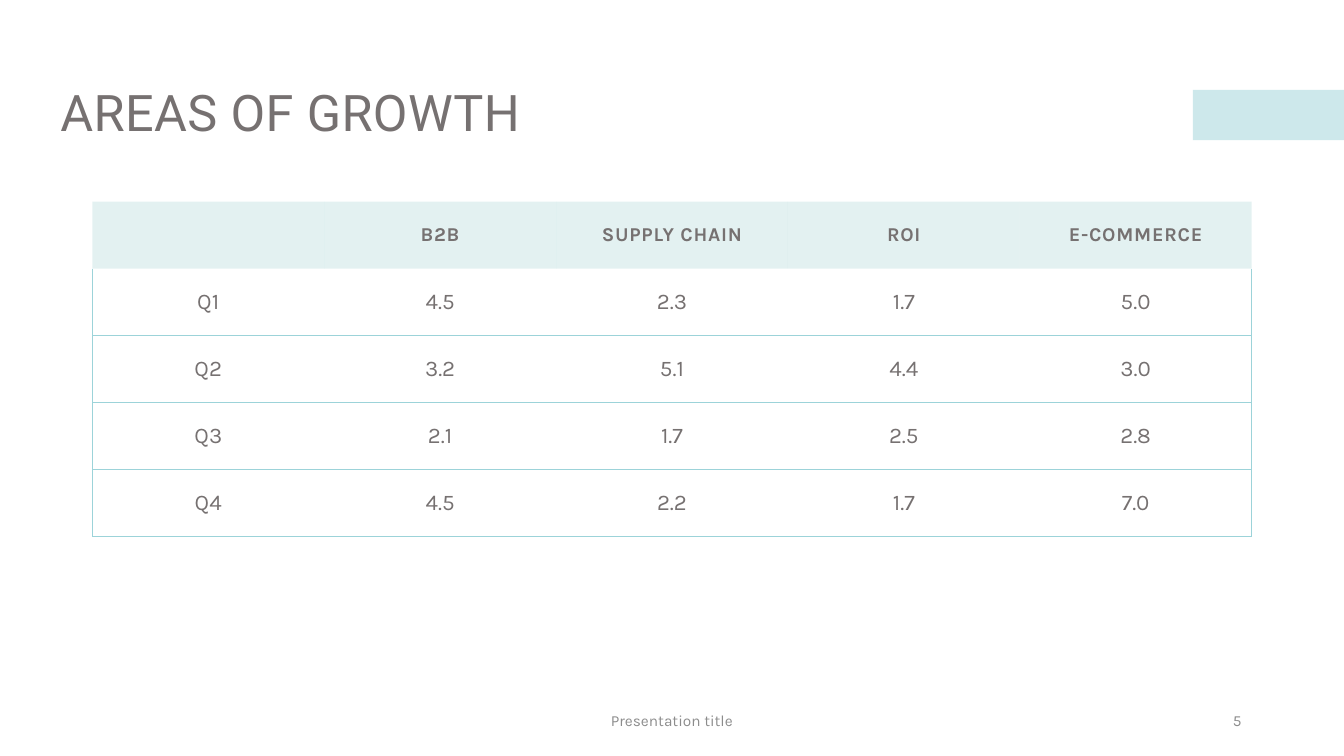
import pptx
import pptx.util
import pptx.dml.color
import pptx.enum.shapes
import pptx.enum.text
import pptx.oxml.ns
import lxml.etree

# Grid of 160 columns by 90 rows, twelve units to the inch
UNIT = pptx.util.Inches(1) // 12
COLS, ROWS = 160, 90

COLORS = {"text": "767171", "footer": "8C8C8C", "accent": "9CD3D9", "header": "76BCBC"}
ALIGN = pptx.enum.text.PP_ALIGN
MIDDLE = pptx.enum.text.MSO_ANCHOR.MIDDLE

# Text formats
TITLE = {"name": "Roboto", "size": 36, "bold": False, "color": "text", "spc": 30}
HEADER = {"name": "Karla", "size": 14, "bold": True, "color": "text", "spc": 50}
LABEL = {"name": "Karla", "size": 16, "bold": False, "color": "text", "spc": 20}
VALUE = {**LABEL, "spc": 0}
FOOTER = {"name": "Karla", "size": 11, "bold": False, "color": "footer", "spc": 0}

GROWTH = [
    ["", "B2B", "SUPPLY CHAIN", "ROI", "E-COMMERCE"],
    ["Q1", "4.5", "2.3", "1.7", "5.0"],
    ["Q2", "3.2", "5.1", "4.4", "3.0"],
    ["Q3", "2.1", "1.7", "2.5", "2.8"],
    ["Q4", "4.5", "2.2", "1.7", "7.0"],
]


def grid(*units):
    return [round(u * UNIT) for u in units]


def rgb(key):
    return pptx.dml.color.RGBColor.from_string(COLORS[key])


def add_sub(parent, tag, **attrs):
    return lxml.etree.SubElement(parent, pptx.oxml.ns.qn(tag), attrs)


def set_alpha(fill_parent, percent):
    color = fill_parent.find(".//" + pptx.oxml.ns.qn("a:srgbClr"))
    add_sub(color, "a:alpha", val=str(percent * 1000))


def write(tf, text, fmt, align):
    tf.vertical_anchor = MIDDLE
    tf.word_wrap = True
    p = tf.paragraphs[0]
    p.alignment = align
    r = p.add_run()
    r.text = text
    values = {"name": fmt["name"], "size": pptx.util.Pt(fmt["size"]), "bold": fmt["bold"]}
    for name, value in values.items():
        setattr(r.font, name, value)
    r.font.color.rgb = rgb(fmt["color"])
    r.font._element.set("spc", str(fmt["spc"]))
    return p


def add_title(s, text, *box):
    sp = s.shapes.title
    for name, value in zip(("left", "top", "width", "height"), grid(*box)):
        setattr(sp, name, value)
    p = write(sp.text_frame, text, TITLE, ALIGN.LEFT)
    p.line_spacing = 0.9


def add_accent(s, *box):
    sp = s.shapes.add_shape(pptx.enum.shapes.MSO_SHAPE.RECTANGLE, *grid(*box))
    sp.shadow.inherit = False
    sp.line.fill.background()
    sp.fill.solid()
    sp.fill.fore_color.rgb = rgb("accent")
    set_alpha(sp._element.spPr, 50)


def add_footer(s, text, align, *box):
    sp = s.shapes.add_textbox(*grid(*box))
    write(sp.text_frame, text, FOOTER, align)


def set_borders(cell, sides):
    tc_pr = cell._tc.get_or_add_tcPr()
    for side in "LRTB":
        if side in sides:
            ln = add_sub(tc_pr, f"a:ln{side}", w=str(pptx.util.Pt(0.5)))
            fill = add_sub(ln, "a:solidFill")
            add_sub(fill, "a:srgbClr", val=COLORS["accent"])
        else:
            ln = add_sub(tc_pr, f"a:ln{side}", w="0")
            add_sub(ln, "a:noFill")


def add_growth_table(s, data, *box):
    rows, cols = len(data), len(data[0])
    frame = s.shapes.add_table(rows, cols, *grid(*box))
    table = frame.table
    table.first_row = table.horz_banding = False
    for i, row in enumerate(data):
        for j, text in enumerate(row):
            cell = table.cell(i, j)
            cell.vertical_anchor = MIDDLE
            # Body rows: outer sides plus a rule under each row
            sides = ""
            if i > 0:
                sides = "B" + "L" * (j == 0) + "R" * (j == cols - 1) + "T" * (i > 1)
            set_borders(cell, sides)
            if i == 0:
                cell.fill.solid()
                cell.fill.fore_color.rgb = rgb("header")
                set_alpha(cell._tc.tcPr.find(pptx.oxml.ns.qn("a:solidFill")), 20)
            else:
                cell.fill.background()
            if text:
                fmt = HEADER if i == 0 else LABEL if j == 0 else VALUE
                write(cell.text_frame, text, fmt, ALIGN.CENTER)


def main():
    prs = pptx.Presentation()
    prs.slide_width, prs.slide_height = grid(COLS, ROWS)
    s = prs.slides.add_slide(prs.slide_layouts[5])

    # Heading
    add_accent(s, 142, 10.7, 18, 6)
    add_title(s, "AREAS OF GROWTH", 6, 5, 148, 17.4)

    # Quarterly figures
    add_growth_table(s, GROWTH, 11, 24, 138, 39.84)

    # Footer and slide number
    add_footer(s, "Presentation title", ALIGN.CENTER, 53, 83.4, 54, 4.8)
    add_footer(s, "5", ALIGN.RIGHT, 113, 83.4, 36, 4.8)

    prs.save("out.pptx")


if __name__ == "__main__":
    main()
